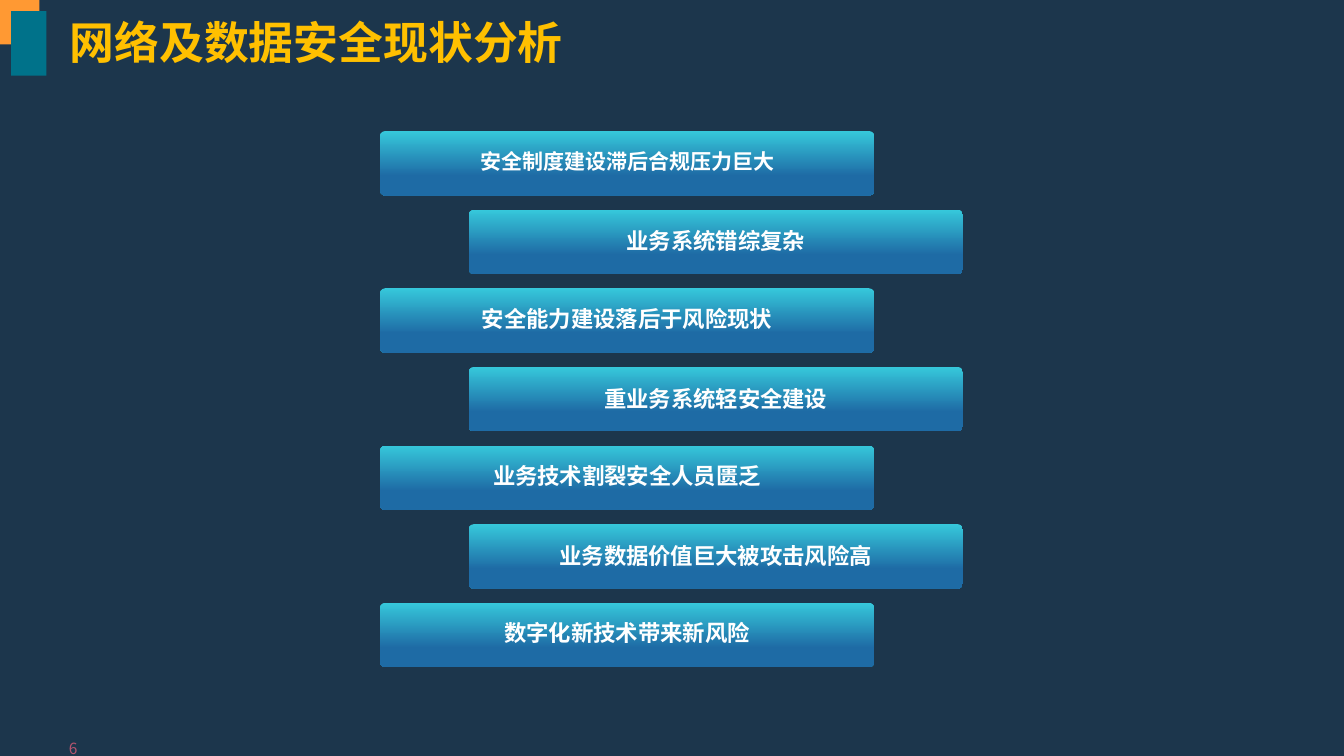
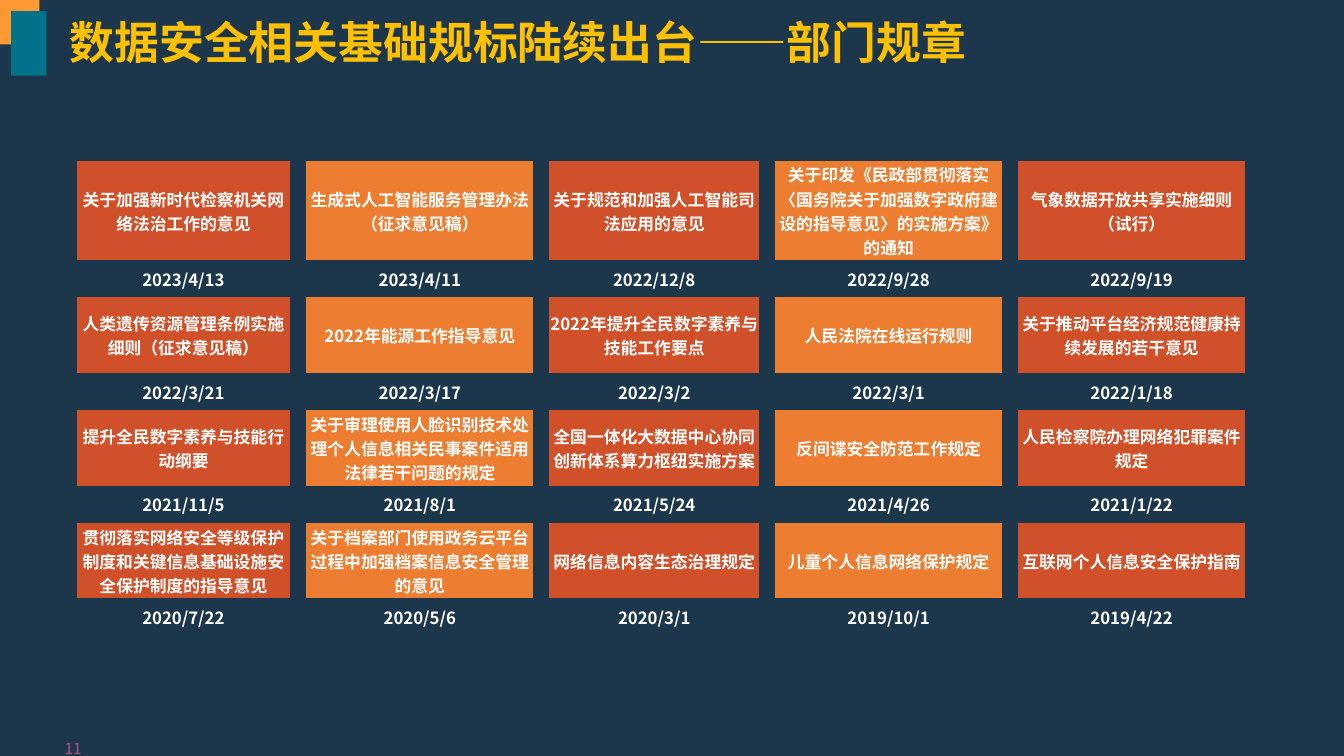
from dataclasses import dataclass

from pptx import Presentation
from pptx.dml.color import RGBColor
from pptx.enum.shapes import MSO_SHAPE
from pptx.enum.text import MSO_ANCHOR, MSO_AUTO_SIZE, PP_ALIGN
from pptx.oxml.ns import qn
from pptx.util import Inches, Pt

RECT, ROUND_RECT = MSO_SHAPE.RECTANGLE, MSO_SHAPE.ROUNDED_RECTANGLE
TOP, MIDDLE = MSO_ANCHOR.TOP, MSO_ANCHOR.MIDDLE
LEFT, CENTER = PP_ALIGN.LEFT, PP_ALIGN.CENTER
NO_FIT = MSO_AUTO_SIZE.NONE
TITLE_ONLY = 5
PLAIN_TABLE_STYLE = "{2D5ABB26-0587-4C30-8999-92F81FD0307C}"


@dataclass(frozen=True)
class Theme:
    font: str = "Noto Sans CJK SC"
    background: str = "1C364C"
    corner: str = "FF9933"
    tab: str = "00728A"
    title: str = "FFC000"
    page: str = "B5556F"
    text: str = "FFFFFF"
    bar_top: str = "36C8DB"
    bar_bottom: str = "1E6BA5"
    cell_fills: tuple = ("D05029", "ED7D31")
    title_size: int = 32
    bar_size: int = 16
    long_bar_size: int = 15
    cell_size: int = 12
    page_size: int = 11


THEME = Theme()

RISKS = [
    "安全制度建设滞后合规压力巨大",
    "业务系统错综复杂",
    "安全能力建设落后于风险现状",
    "重业务系统轻安全建设",
    "业务技术割裂安全人员匮乏",
    "业务数据价值巨大被攻击风险高",
    "数字化新技术带来新风险",
]

REGULATIONS = [
    [
        ("关于加强新时代检察机关网络法治工作的意见", "2023/4/13"),
        ("生成式人工智能服务管理办法（征求意见稿）", "2023/4/11"),
        ("关于规范和加强人工智能司法应用的意见", "2022/12/8"),
        ("关于印发《民政部贯彻落实〈国务院关于加强数字政府建设的指导意见〉的实施方案》的通知", "2022/9/28"),
        ("气象数据开放共享实施细则（试行）", "2022/9/19"),
    ],
    [
        ("人类遗传资源管理条例实施细则（征求意见稿）", "2022/3/21"),
        ("2022年能源工作指导意见", "2022/3/17"),
        ("2022年提升全民数字素养与技能工作要点", "2022/3/2"),
        ("人民法院在线运行规则", "2022/3/1"),
        ("关于推动平台经济规范健康持续发展的若干意见", "2022/1/18"),
    ],
    [
        ("提升全民数字素养与技能行动纲要", "2021/11/5"),
        ("关于审理使用人脸识别技术处理个人信息相关民事案件适用法律若干问题的规定", "2021/8/1"),
        ("全国一体化大数据中心协同创新体系算力枢纽实施方案", "2021/5/24"),
        ("反间谍安全防范工作规定", "2021/4/26"),
        ("人民检察院办理网络犯罪案件规定", "2021/1/22"),
    ],
    [
        ("贯彻落实网络安全等级保护制度和关键信息基础设施安全保护制度的指导意见", "2020/7/22"),
        ("关于档案部门使用政务云平台过程中加强档案信息安全管理的意见", "2020/5/6"),
        ("网络信息内容生态治理规定", "2020/3/1"),
        ("儿童个人信息网络保护规定", "2019/10/1"),
        ("互联网个人信息安全保护指南", "2019/4/22"),
    ],
]


def rgb(color):
    return RGBColor.from_string(color)


def write(tf, text, size, color=THEME.text, bold=True, align=CENTER):
    """Add one run to the first paragraph, with Latin and East Asian fonts set."""
    p = tf.paragraphs[0]
    p.alignment = align
    r = p.add_run()
    r.text = text
    r.font.size, r.font.bold = Pt(size), bold
    r.font.color.rgb = rgb(color)
    r.font.name = THEME.font
    latin = r.font._element.find(qn("a:latin"))
    latin.addnext(latin.makeelement(qn("a:ea"), {"typeface": THEME.font}))
    return p


def add_block(s, kind, left, top, width, height):
    """Add a shape without shadow or outline."""
    sp = s.shapes.add_shape(kind, *map(Inches, (left, top, width, height)))
    sp.shadow.inherit = False
    sp.line.fill.background()
    return sp


def add_titled_slide(prs, title, page):
    s = prs.slides.add_slide(prs.slide_layouts[TITLE_ONLY])
    for color, box in (
        (THEME.corner, (0, 0, 0.39, 0.44)),
        (THEME.tab, (0.11, 0.11, 0.35, 0.64)),
    ):
        sp = add_block(s, RECT, *box)
        sp.fill.solid()
        sp.fill.fore_color.rgb = rgb(color)

    sp = s.shapes.title
    sp.left, sp.top, sp.width, sp.height = map(Inches, (0.59, 0.18, 10.73, 0.53))
    tf = sp.text_frame
    tf.auto_size, tf.vertical_anchor = NO_FIT, MIDDLE
    p = write(tf, title, THEME.title_size, THEME.title, align=LEFT)
    p.line_spacing = 0.9

    sp = add_block(s, ROUND_RECT, 0.29, 7.22, 0.87, 0.43)
    sp.adjustments[0] = 0.5
    sp.fill.background()
    tf = sp.text_frame
    tf.word_wrap, tf.vertical_anchor = True, TOP
    write(tf, str(page), THEME.page_size, THEME.page, bold=False)
    return s


def add_risk_bar(s, text, size, left, top, width, height, lift):
    """Add a gradient bar; lift is the bottom inset that raises its label."""
    sp = add_block(s, ROUND_RECT, left, top, width, height)
    sp.adjustments[0] = 0.08
    sp.fill.gradient()
    sp.fill.gradient_angle = 270
    stops = ((0, THEME.bar_top), (0.7, THEME.bar_bottom))
    for stop, (position, color) in zip(sp.fill.gradient_stops, stops):
        stop.position = position
        stop.color.rgb = rgb(color)
    tf = sp.text_frame
    tf.word_wrap, tf.vertical_anchor = True, MIDDLE
    tf.margin_top, tf.margin_bottom = 0, Inches(lift)
    write(tf, text, size)


def add_risk_stairs(s, left, top, risks):
    """Stack the bars in two alternating columns."""
    width, height, pitch, shift = 4.9, 0.64, 0.78, 0.88
    for i, text in enumerate(risks):
        column = i % 2
        size = THEME.bar_size if i else THEME.long_bar_size
        lift = 0.02 if column else 0.04
        add_risk_bar(s, text, size, left + column * shift, top + i * pitch,
                     width, height, lift)


def add_regulation_table(s, left, top, regulations):
    """Each group of regulations takes a row of names and a row of dates."""
    gap, first_height, name_height, date_height = 0.16, 0.97, 0.75, 0.37
    widths = [2.12, gap, 2.25, gap, 2.08, gap, 2.25, gap, 2.25]
    heights = [name_height, date_height] * len(regulations)
    heights[0] = first_height
    frame = s.shapes.add_table(
        len(heights), len(widths),
        *map(Inches, (left, top, sum(widths), sum(heights))))
    table = frame.table
    table.first_row = table.horz_banding = False
    table._tbl.tblPr.find(qn("a:tableStyleId")).text = PLAIN_TABLE_STYLE
    for column, width in zip(table.columns, widths):
        column.width = Inches(width)
    for row, height in zip(table.rows, heights):
        row.height = Inches(height)

    for cell in table.iter_cells():
        cell.fill.background()
        cell.vertical_anchor = MIDDLE
        cell.margin_left = cell.margin_right = cell.margin_top = Inches(0.01)
        cell.margin_bottom = 0

    for i, group in enumerate(regulations):
        for j, (name, date) in enumerate(group):
            name_cell, date_cell = (table.cell(2 * i + k, 2 * j) for k in (0, 1))
            name_cell.fill.solid()
            name_cell.fill.fore_color.rgb = rgb(THEME.cell_fills[j % 2])
            write(name_cell.text_frame, name, THEME.cell_size)
            write(date_cell.text_frame, date, THEME.cell_size)


def main():
    prs = Presentation()
    prs.slide_width, prs.slide_height = Inches(13.33), Inches(7.5)
    fill = prs.slide_master.background.fill
    fill.solid()
    fill.fore_color.rgb = rgb(THEME.background)

    s = add_titled_slide(prs, "网络及数据安全现状分析", 6)
    add_risk_stairs(s, 3.77, 1.3, RISKS)

    s = add_titled_slide(prs, "数据安全相关基础规标陆续出台——部门规章", 11)
    add_regulation_table(s, 0.76, 1.6, REGULATIONS)

    prs.save("out.pptx")


if __name__ == "__main__":
    main()
